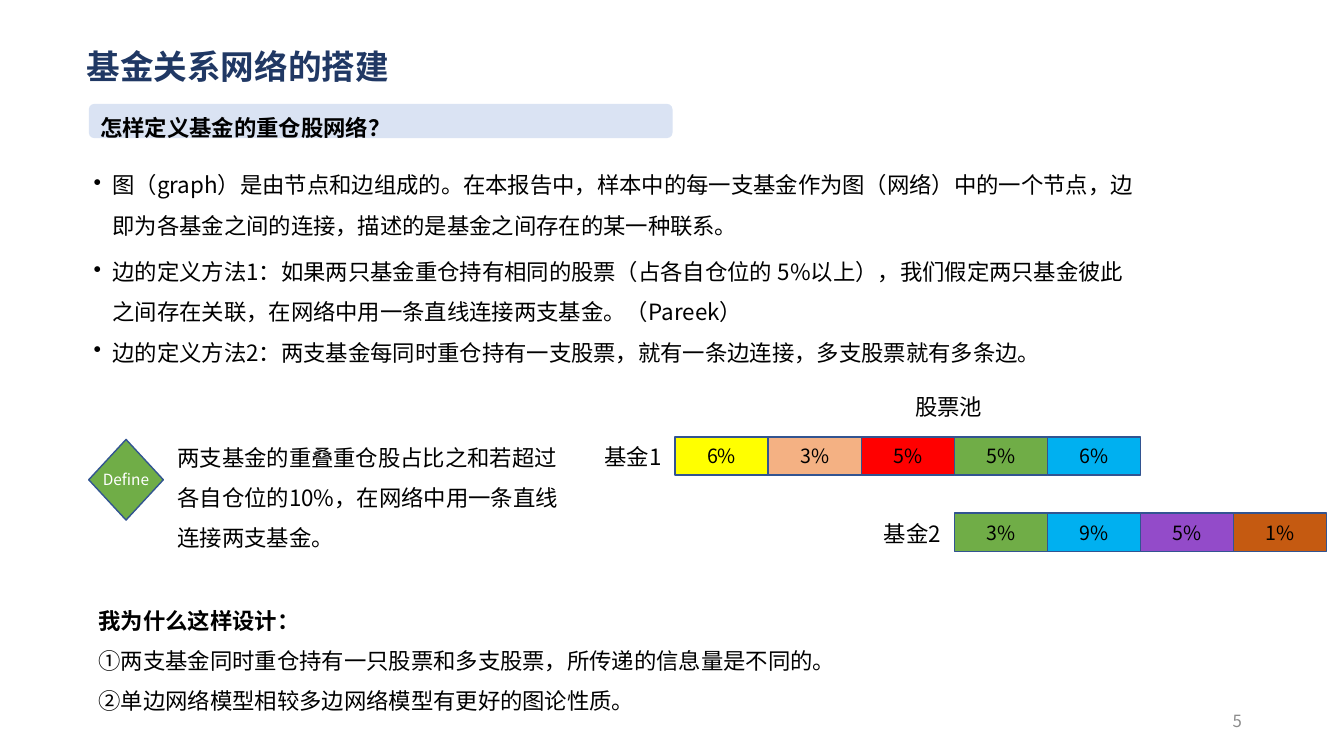
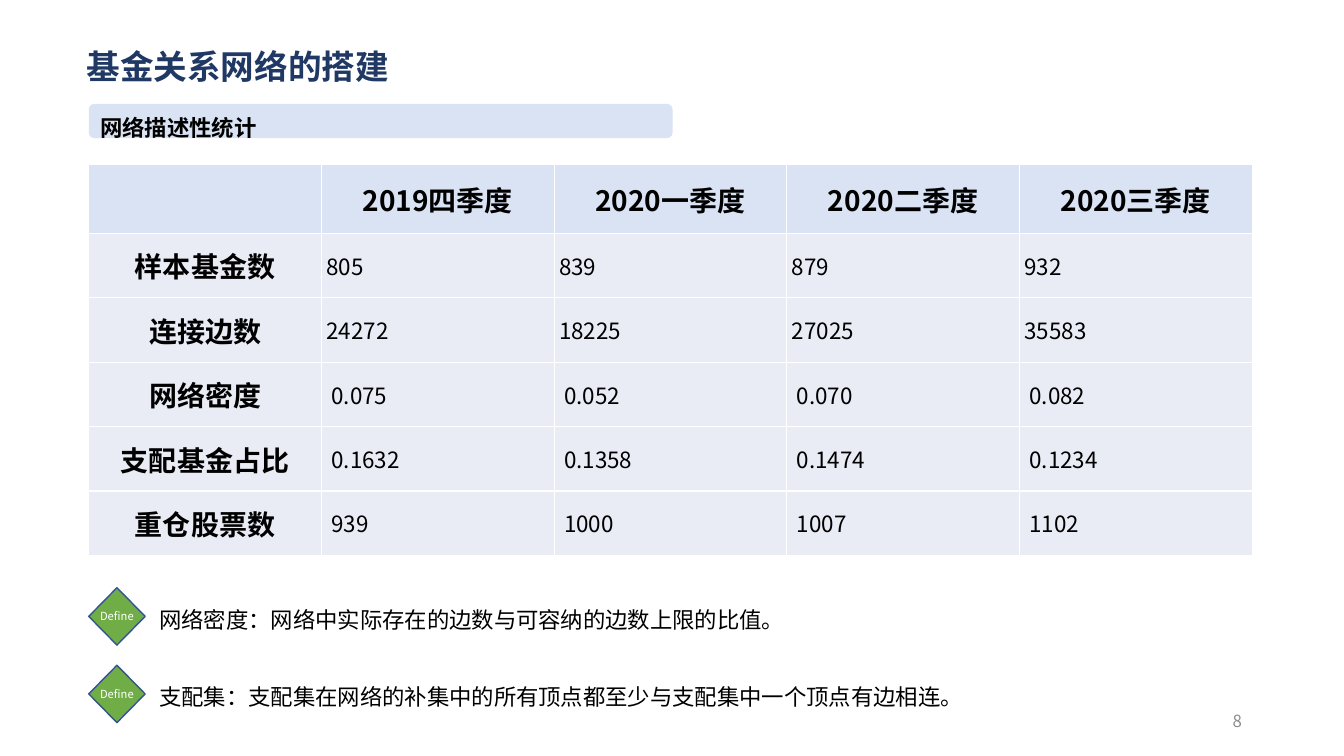
from dataclasses import dataclass

from lxml.etree import SubElement
from pptx import Presentation
from pptx.dml.color import RGBColor
from pptx.enum.lang import MSO_LANGUAGE_ID as Language
from pptx.enum.shapes import MSO_SHAPE as Shape
from pptx.enum.text import MSO_ANCHOR as Anchor, PP_ALIGN as Align
from pptx.oxml.ns import qn
from pptx.util import Pt


@dataclass(frozen=True)
class Theme:
    """Colours, type sizes and measures shared by the slides."""

    font: str = "Noto Sans CJK SC"
    navy: str = "203864"
    black: str = "000000"
    white: str = "FFFFFF"
    gray: str = "8C8C8C"
    band: str = "DAE3F3"
    row: str = "E9EBF5"
    outline: str = "325491"
    green: str = "70AD47"
    yellow: str = "FFFF00"
    peach: str = "F4B183"
    red: str = "FF0000"
    blue: str = "00B0F0"
    purple: str = "934BC9"
    brown: str = "C55A11"
    title: float = 24
    heading: float = 20
    body: float = 16
    weight: float = 14
    number: float = 12
    left: float = 63.4
    width: float = 831
    loose: float = 1.5


THEME = Theme()
TITLE = "基金关系网络的搭建"

HOLDINGS = [
    ("基金1", 0, 312, [("6%", THEME.yellow), ("3%", THEME.peach), ("5%", THEME.red),
                      ("5%", THEME.green), ("6%", THEME.blue)]),
    ("基金2", 3, 366.5, [("3%", THEME.green), ("9%", THEME.blue),
                        ("5%", THEME.purple), ("1%", THEME.brown)]),
]

QUARTERS = ["", "2019四季度", "2020一季度", "2020二季度", "2020三季度"]
STATISTICS = [
    (3.6, ["样本基金数", "805", "839", "879", "932"]),
    (3.6, ["连接边数", "24272", "18225", "27025", "35583"]),
    (7.2, ["网络密度", "0.075", "0.052", "0.070", "0.082"]),
    (7.2, ["支配基金占比", "0.1632", "0.1358", "0.1474", "0.1234"]),
    (7.2, ["重仓股票数", "939", "1000", "1007", "1102"]),
]


def color(value):
    """Turn a hex string into a colour."""
    return RGBColor.from_string(value)


def write(frame, *texts, size=THEME.body, ink=THEME.black, bold=False,
          align=Align.LEFT, spacing=1.0, bullet=False):
    """Append one formatted paragraph per text to a frame."""
    for text in texts:
        para = frame.add_paragraph() if frame.text else frame.paragraphs[0]
        para.alignment = align
        para.line_spacing = spacing
        if bullet:
            props = para._p.get_or_add_pPr()
            props.set("marL", str(Pt(13.5)))
            props.set("indent", str(-Pt(13.5)))
            SubElement(props, qn("a:buChar"), char="•")
        span = para.add_run()
        span.text = text
        span.font.size = Pt(size)
        span.font.bold = bold
        span.font.name = THEME.font
        span.font.language_id = Language.SIMPLIFIED_CHINESE
        span.font.color.rgb = color(ink)
        SubElement(span._r.get_or_add_rPr(), qn("a:ea"), typeface=THEME.font)


def add_text(page, left, top, width, height, *texts, anchor=Anchor.TOP, **style):
    """Add a wrapping text box and return its frame."""
    box = page.shapes.add_textbox(Pt(left), Pt(top), Pt(width), Pt(height))
    frame = box.text_frame
    frame.word_wrap = True
    frame.vertical_anchor = anchor
    write(frame, *texts, **style)
    return frame


def add_block(page, kind, left, top, width, height, fill, text, outline=THEME.outline,
              wrap=True, **style):
    """Add a filled preset shape with its label inside."""
    block = page.shapes.add_shape(kind, Pt(left), Pt(top), Pt(width), Pt(height))
    block.shadow.inherit = False
    block.fill.solid()
    block.fill.fore_color.rgb = color(fill)
    if outline:
        block.line.color.rgb = color(outline)
        block.line.width = Pt(1)
    else:
        block.line.fill.background()
    block.text_frame.word_wrap = wrap
    block.text_frame.vertical_anchor = Anchor.MIDDLE
    write(block.text_frame, text, **style)


def add_page(deck, subtitle, number):
    """Add a slide with the shared title, subtitle band and page number."""
    page = deck.slides.add_slide(deck.slide_layouts[6])
    add_text(page, 54.7, 32.4, 850, 33, TITLE, size=THEME.title, ink=THEME.navy,
             bold=True, spacing=0.9)
    add_block(page, Shape.ROUNDED_RECTANGLE, THEME.left, 74.2, 417, 24.5, THEME.band,
              subtitle, outline=None, bold=True, spacing=THEME.loose)
    add_text(page, 678.2, 500.4, 216, 28.8, str(number), anchor=Anchor.MIDDLE,
             size=THEME.number, ink=THEME.gray, align=Align.RIGHT)
    return page


def add_definition(page, text, top, width, height, label_size, text_top, text_width):
    """Add a Define diamond with its explanation on the right."""
    add_block(page, Shape.DIAMOND, THEME.left, top, width, height, THEME.green, "Define",
              wrap=False, size=label_size, ink=THEME.white, align=Align.CENTER)
    add_text(page, THEME.left + width + 3, text_top, text_width, 33, text,
             spacing=THEME.loose)


def add_holdings(page):
    """Draw the stock pool with the weights of each fund."""
    start, pitch = 482.2, 66.5
    add_text(page, 646.6, 277.2, 68, 26.6, "股票池")
    for name, offset, top, weights in HOLDINGS:
        left = start + offset * pitch
        for place, (weight, fill) in enumerate(weights):
            add_block(page, Shape.RECTANGLE, left + place * pitch, top, pitch, 27.4, fill,
                      weight, size=THEME.weight, align=Align.CENTER)
        add_text(page, left - 57.5, top + 1.3, 68, 26.6, name)


def style_cell(cell, text, fill, inset=7.2, **style):
    """Fill, border and write one table cell."""
    cell.vertical_anchor = Anchor.MIDDLE
    cell.margin_left = cell.margin_right = Pt(inset)
    props = cell._tc.get_or_add_tcPr()
    for side in ("lnL", "lnR", "lnT", "lnB"):
        border = SubElement(props, qn(f"a:{side}"), w=str(Pt(1)))
        SubElement(SubElement(border, qn("a:solidFill")), qn("a:srgbClr"), val=THEME.white)
    cell.fill.solid()
    cell.fill.fore_color.rgb = color(fill)
    if text:
        write(cell.text_frame, text, **style)


def add_statistics(page):
    """Add the table of network statistics by quarter."""
    header, body = 49.4, 46
    rows, columns = len(STATISTICS) + 1, len(QUARTERS)
    table = page.shapes.add_table(rows, columns, Pt(THEME.left), Pt(117.4), Pt(THEME.width),
                                  Pt(header + body * len(STATISTICS))).table
    for column in table.columns:
        column.width = Pt(THEME.width / columns)
    heading = dict(size=THEME.heading, bold=True, align=Align.CENTER)
    for index, (inset, texts) in enumerate([(7.2, QUARTERS), *STATISTICS]):
        table.rows[index].height = Pt(body if index else header)
        fill = THEME.row if index else THEME.band
        for place, text in enumerate(texts):
            style = {} if index and place else heading
            style_cell(table.cell(index, place), text, fill, inset, **style)


def build_definition_page(deck):
    """Build the slide on how the network is defined."""
    page = add_page(deck, "怎样定义基金的重仓股网络？", 5)
    bullets = dict(spacing=THEME.loose, bullet=True)
    add_text(page, 59.8, 109.4, 764, 62,
             "图（graph）是由节点和边组成的。在本报告中，样本中的每一支基金作为图（网络）中的一个节点，"
             "边即为各基金之间的连接，描述的是基金之间存在的某一种联系。", **bullets)
    add_text(page, 59.8, 171.4, 764, 91.4,
             "边的定义方法1：如果两只基金重仓持有相同的股票（占各自仓位的 5%以上），"
             "我们假定两只基金彼此之间存在关联，在网络中用一条直线连接两支基金。（Pareek）",
             "边的定义方法2：两支基金每同时重仓持有一支股票，就有一条边连接，多支股票就有多条边。",
             **bullets)
    add_definition(page, "两支基金的重叠重仓股占比之和若超过各自仓位的10%，在网络中用一条直线连接两支基金。",
                   313.9, 53.3, 57.6, 11, 303.8, 292.3)
    add_holdings(page)
    reasons = add_text(page, THEME.left, 420.5, THEME.width, 91.4, "我为什么这样设计：",
                       bold=True, spacing=THEME.loose)
    write(reasons, "①两支基金同时重仓持有一只股票和多支股票，所传递的信息量是不同的。",
          "②单边网络模型相较多边网络模型有更好的图论性质。", spacing=THEME.loose)


def build_statistics_page(deck):
    """Build the slide with the descriptive statistics."""
    page = add_page(deck, "网络描述性统计", 8)
    add_statistics(page)
    terms = ["网络密度：网络中实际存在的边数与可容纳的边数上限的比值。",
             "支配集：支配集在网络的补集中的所有顶点都至少与支配集中一个顶点有边相连。"]
    for index, term in enumerate(terms):
        top = 419.8 + index * 55.4
        add_definition(page, term, top, 40.3, 41, 8, top, 660)


def main():
    """Build and save the deck."""
    deck = Presentation()
    deck.slide_width, deck.slide_height = Pt(960), Pt(540)
    build_definition_page(deck)
    build_statistics_page(deck)
    deck.save("out.pptx")


if __name__ == "__main__":
    main()
